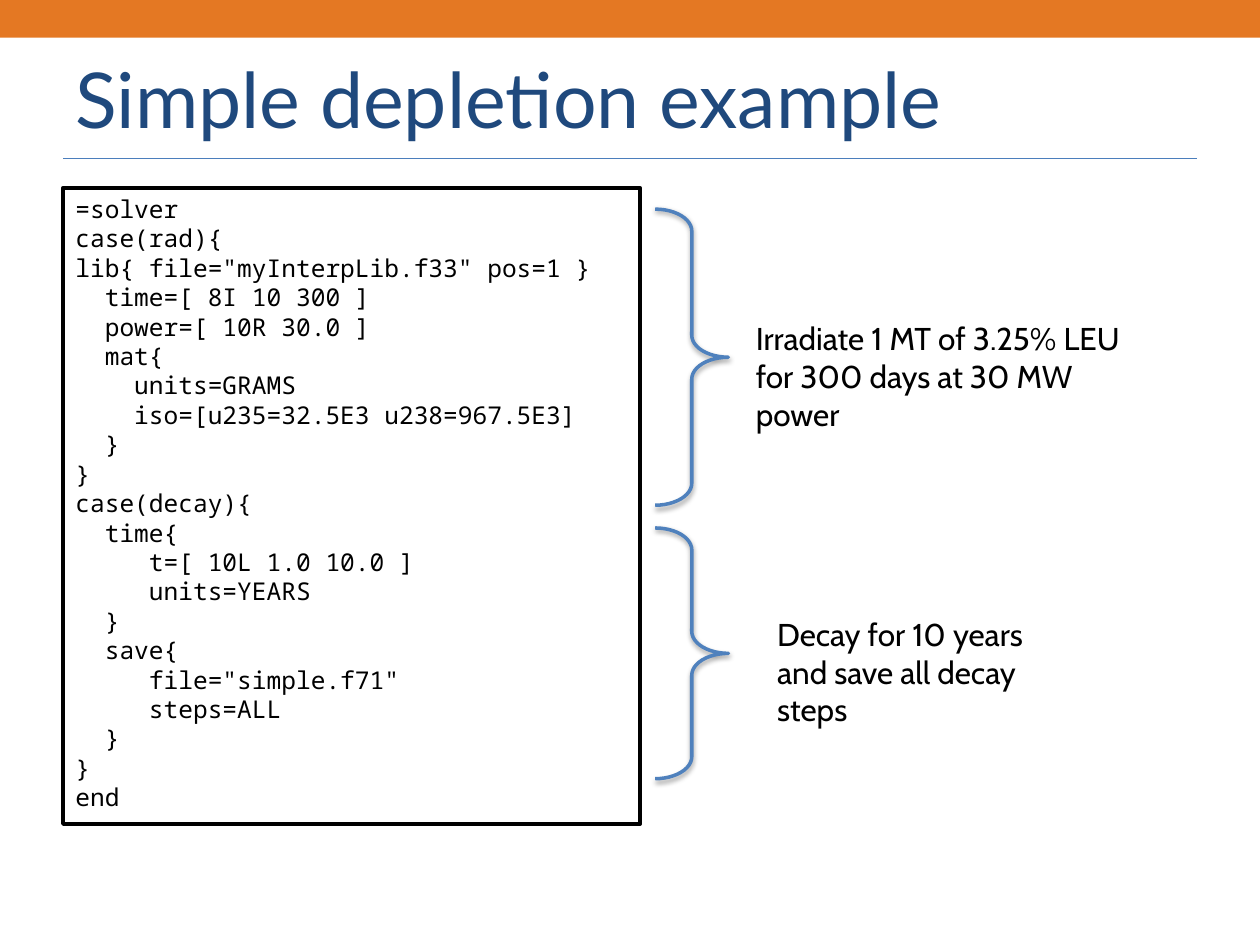
from lxml.etree import SubElement as Sub
from pptx import Presentation
from pptx.dml.color import RGBColor
from pptx.enum.shapes import MSO_CONNECTOR as Link, MSO_SHAPE as Kind
from pptx.enum.text import MSO_ANCHOR as Anchor, PP_ALIGN as Align
from pptx.oxml.ns import qn
from pptx.util import Pt

TITLE = "Simple depletion example"
CODE = """=solver
case(rad){
lib{ file="myInterpLib.f33" pos=1 }
  time=[ 8I 10 300 ]
  power=[ 10R 30.0 ]
  mat{
    units=GRAMS
    iso=[u235=32.5E3 u238=967.5E3]
  }
}
case(decay){
  time{
     t=[ 10L 1.0 10.0 ]
     units=YEARS
  }
  save{
     file="simple.f71"
     steps=ALL
  }
}
end""".split("\n")
NOTES = [
    ("Irradiate 1 MT of 3.25% LEU for 300 days at 30 MW power",
     (119.5, 169.2), (424.8, 179, 238.3, 51)),
    ("Decay for 10 years and save all decay steps",
     (301.7, 143.3), (437, 347.8, 184.3, 51)),
]


def tint(code):
    """Return the colour for a hex string."""
    return RGBColor.from_string(code)


def shape(kind, box, fill=None, line=None):
    """Add a preset shape without a shadow."""
    item = slide.shapes.add_shape(kind, *map(Pt, box))
    item.shadow.inherit = False
    if fill:
        item.fill.solid()
        item.fill.fore_color.rgb = tint(fill)
    else:
        item.fill.background()
    if line:
        item.line.color.rgb = tint(line)
        item.line.width = Pt(2)
    else:
        item.line.fill.background()
    return item


def write(item, lines, font, size, color="000000", anchor=Anchor.TOP):
    """Fill a shape with left-aligned paragraphs in one font."""
    frame = item.text_frame
    frame.word_wrap = True
    frame.vertical_anchor = anchor
    for i, line in enumerate(lines):
        para = frame.add_paragraph() if i else frame.paragraphs[0]
        para.text = line
        para.alignment = Align.LEFT
        para.font.name = font
        para.font.size = Pt(size)
        para.font.color.rgb = tint(color)


def label(box, text, *style):
    """Add a text box."""
    write(slide.shapes.add_textbox(*map(Pt, box)), [text], *style)


def shade(item):
    """Give a shape a soft shadow straight below it."""
    effects = item._element.spPr.find(qn("a:effectLst"))
    outer = Sub(effects, qn("a:outerShdw"), blurRad=str(Pt(3.1)),
                dist=str(Pt(1.6)), dir="5400000", rotWithShape="0")
    color = Sub(outer, qn("a:srgbClr"), val="000000")
    Sub(color, qn("a:alpha"), val="38000")


deck = Presentation()
deck.slide_width, deck.slide_height = Pt(720), Pt(540)
slide = deck.slides.add_slide(deck.slide_layouts[6])

rule = slide.shapes.add_connector(Link.STRAIGHT, Pt(36), Pt(90.5), Pt(684), Pt(90.5))
rule.line.color.rgb = tint("4B7EBC")
rule.line.width = Pt(0.75)
Sub(rule._element.spPr, qn("a:effectLst"))

shape(Kind.RECTANGLE, (0, 0, 720, 21.6), "E47823")
label((36, 21.6, 648, 69), TITLE, "Lato", 44, "1F497D", Anchor.MIDDLE)
panel = shape(Kind.RECTANGLE, (36, 107.3, 329.8, 363.6), "FFFFFF", "000000")
write(panel, CODE, "Noto Sans Mono", 14)

for text, (top, height), box in NOTES:
    brace = shape(Kind.RIGHT_BRACE, (374.4, top, 41.8, height), line="4F81BD")
    brace.adjustments[0] = 0.3
    shade(brace)
    label(box, text, "Cabin", 18)

deck.save("out.pptx")
